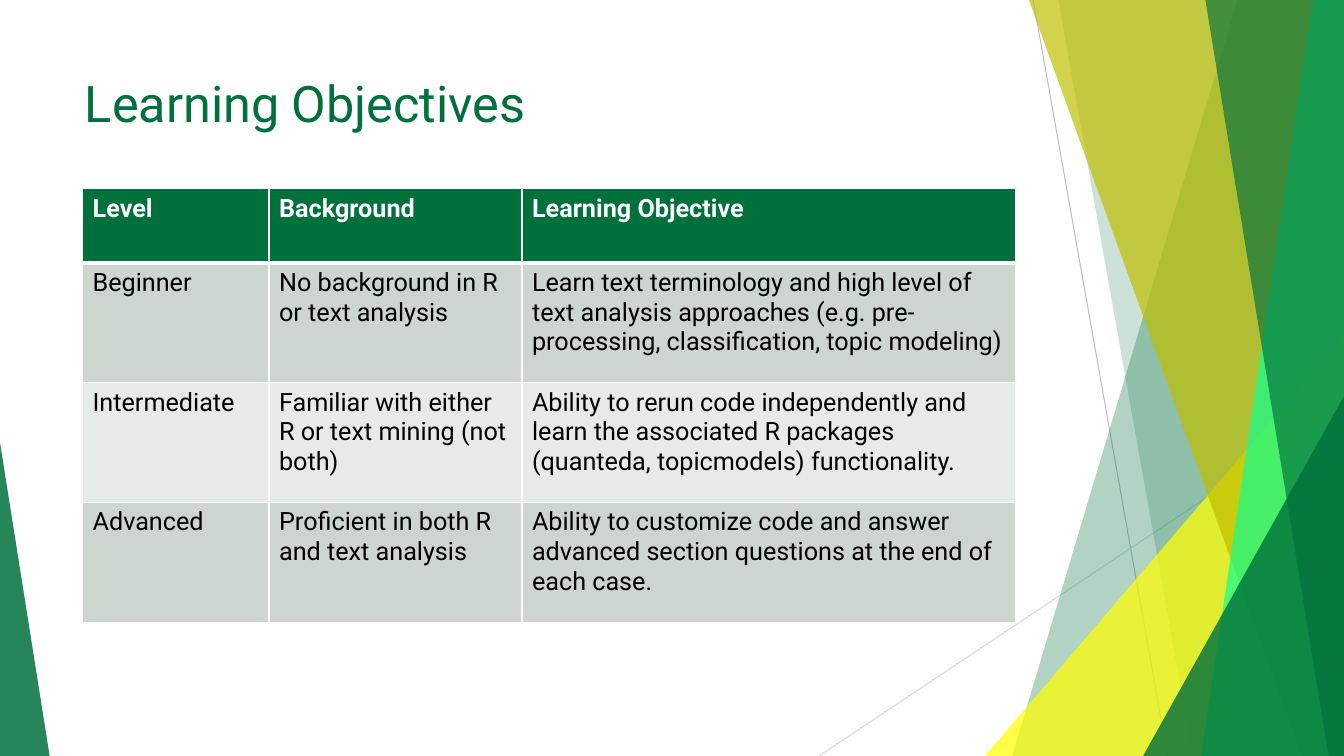
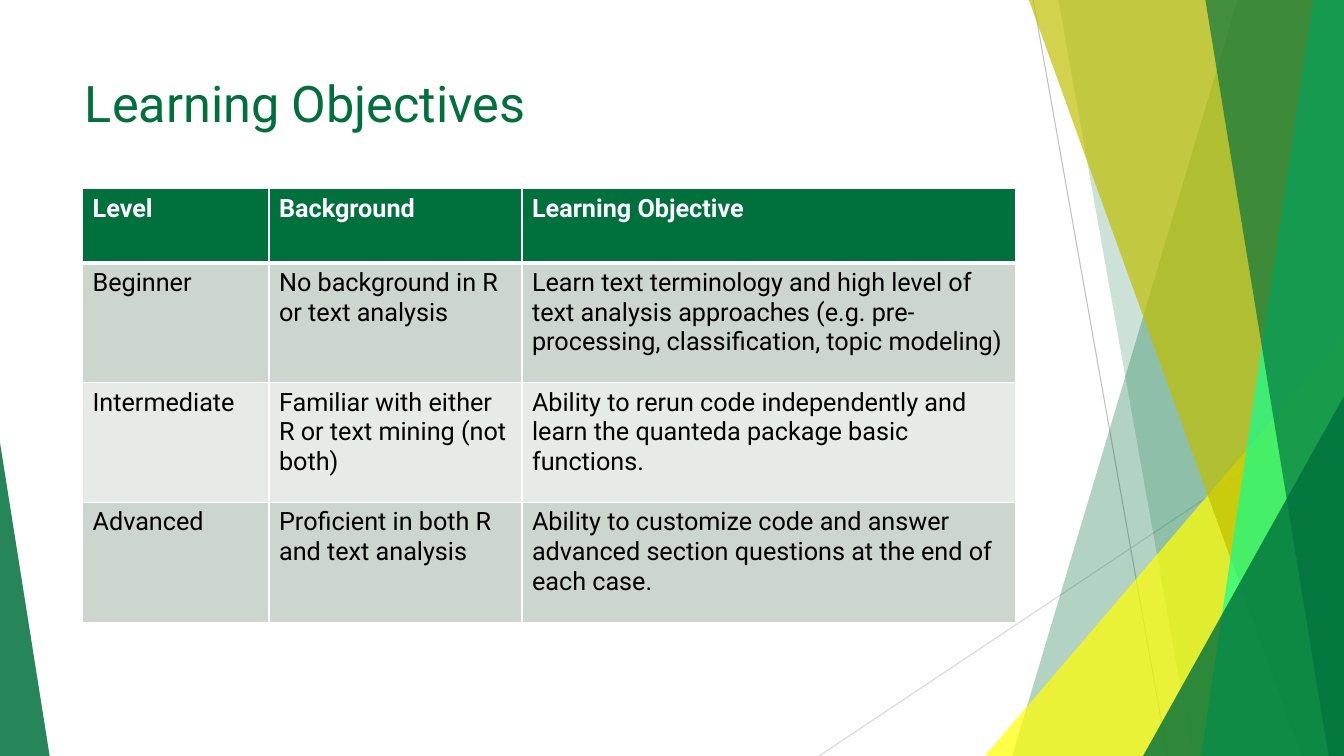
from lxml.etree import SubElement
from pptx import Presentation
from pptx.dml.color import RGBColor
from pptx.enum.shapes import MSO_CONNECTOR, MSO_SHAPE
from pptx.enum.text import MSO_ANCHOR, PP_ALIGN
from pptx.oxml.ns import qn
from pptx.util import Pt

COLORS = {
    "green": "00703C",
    "yellow": "FFFF00",
    "olive": "BFBF00",
    "mint": "10FF90",
    "white": "FFFFFF",
    "black": "000000",
    "row_dark": "CCD5CE",
    "row_light": "E7EBE8",
    "line_dark": "BFBFBF",
    "line_light": "D9D9D9",
}
WIDTH, HEIGHT = 960, 540


class SlideBuilder:
    font = "Roboto"
    title_size = 36
    table_size = 18

    def __init__(self):
        self.deck = Presentation()
        self.deck.slide_width = Pt(WIDTH)
        self.deck.slide_height = Pt(HEIGHT)
        self.page = None

    def color(self, name):
        return RGBColor.from_string(COLORS[name])

    def add_page(self, title):
        self.page = self.deck.slides.add_slide(self.deck.slide_layouts[5])
        self.add_decoration()
        self.add_title(title)

    def add_text(self, frame, text, size, color, bold=False):
        para = frame.paragraphs[0]
        para.alignment = PP_ALIGN.LEFT
        span = para.add_run()
        span.text = text
        span.font.name = self.font
        span.font.size = Pt(size)
        span.font.bold = bold
        span.font.color.rgb = self.color(color)

    def add_title(self, text):
        box = self.page.shapes.title
        box.left, box.top, box.width, box.height = Pt(53.5), Pt(48), Pt(677), Pt(104)
        box.text_frame.vertical_anchor = MSO_ANCHOR.TOP
        self.add_text(box.text_frame, text, self.title_size, "green")

    def add_line(self, start, end, color):
        line = self.page.shapes.add_connector(
            MSO_CONNECTOR.STRAIGHT, *map(Pt, start + end))
        line.line.color.rgb = self.color(color)
        line.line.width = Pt(0.75)
        SubElement(line.element.spPr, qn("a:effectLst"))

    def fill_shape(self, shape, color, opacity):
        shape.shadow.inherit = False
        shape.line.fill.background()
        shape.fill.solid()
        shape.fill.fore_color.rgb = self.color(color)
        for node in shape.element.spPr.iterfind(qn("a:solidFill") + "/" + qn("a:srgbClr")):
            SubElement(node, qn("a:alpha")).set("val", str(opacity * 1000))

    def add_band(self, top_left, bottom_left, color, opacity):
        outline = self.page.shapes.build_freeform(Pt(top_left), 0)
        corners = [(WIDTH, 0), (WIDTH, HEIGHT), (bottom_left, HEIGHT)]
        outline.add_line_segments([(Pt(x), Pt(y)) for x, y in corners], close=True)
        self.fill_shape(outline.convert_to_shape(), color, opacity)

    def add_triangle(self, left, top, width, peak, color, opacity):
        triangle = self.page.shapes.add_shape(
            MSO_SHAPE.ISOSCELES_TRIANGLE, Pt(left), Pt(top), Pt(width), Pt(HEIGHT - top))
        triangle.adjustments[0] = peak
        self.fill_shape(triangle, color, opacity)

    def add_decoration(self):
        self.add_line((738, 0), (834, HEIGHT), "line_dark")
        self.add_line((WIDTH, 290), (585, HEIGHT), "line_light")
        self.add_band(884, 723, "green", 30)
        self.add_band(756, 852, "green", 20)
        self.add_triangle(703.5, 240, 256.5, 1, "yellow", 72)
        self.add_band(735, 930, "olive", 70)
        self.add_band(938, 858, "mint", 70)
        self.add_band(861, 949, "green", 65)
        self.add_triangle(816.5, 283, 143.5, 1, "green", 80)
        self.add_triangle(0, 316, 35.5, 0, "green", 85)

    def add_borders(self, cell, bottom_width):
        properties = cell._tc.get_or_add_tcPr()
        widths = {"a:lnL": 1, "a:lnR": 1, "a:lnT": 1, "a:lnB": bottom_width}
        for position, (side, width) in enumerate(widths.items()):
            border = SubElement(properties, qn(side), w=str(Pt(width)))
            fill = SubElement(border, qn("a:solidFill"))
            SubElement(fill, qn("a:srgbClr"), val=COLORS["white"])
            properties.insert(position, border)

    def add_table(self, rows, column_widths, row_heights):
        table = self.page.shapes.add_table(
            len(rows), len(column_widths), Pt(59), Pt(134.8),
            Pt(sum(column_widths)), Pt(sum(row_heights))).table
        for column, width in zip(table.columns, column_widths):
            column.width = Pt(width)
        for index, (row, height, texts) in enumerate(zip(table.rows, row_heights, rows)):
            row.height = Pt(height)
            header = index == 0
            fill = "green" if header else ("row_light", "row_dark")[index % 2]
            for cell, text in zip(row.cells, texts):
                cell.fill.solid()
                cell.fill.fore_color.rgb = self.color(fill)
                self.add_borders(cell, 3 if header else 1)
                self.add_text(cell.text_frame, text, self.table_size,
                              "white" if header else "black", header)


def main():
    builder = SlideBuilder()
    intermediate_objectives = [
        "Ability to rerun code independently and learn the associated R packages "
        "(quanteda, topicmodels) functionality.",
        "Ability to rerun code independently and learn the quanteda package basic functions.",
    ]
    for intermediate_objective in intermediate_objectives:
        builder.add_page("Learning Objectives")
        builder.add_table(
            [
                ("Level", "Background", "Learning Objective"),
                ("Beginner", "No background in R or text analysis",
                 "Learn text terminology and high level of text analysis approaches "
                 "(e.g. pre-processing, classification, topic modeling)"),
                ("Intermediate", "Familiar with either R or text mining (not both)",
                 intermediate_objective),
                ("Advanced", "Proficient in both R and text analysis",
                 "Ability to customize code and answer advanced section questions "
                 "at the end of each case."),
            ],
            column_widths=[133.2, 180.7, 352.8],
            row_heights=[53.2] + [85.5] * 3,
        )
    builder.deck.save("out.pptx")


if __name__ == "__main__":
    main()
